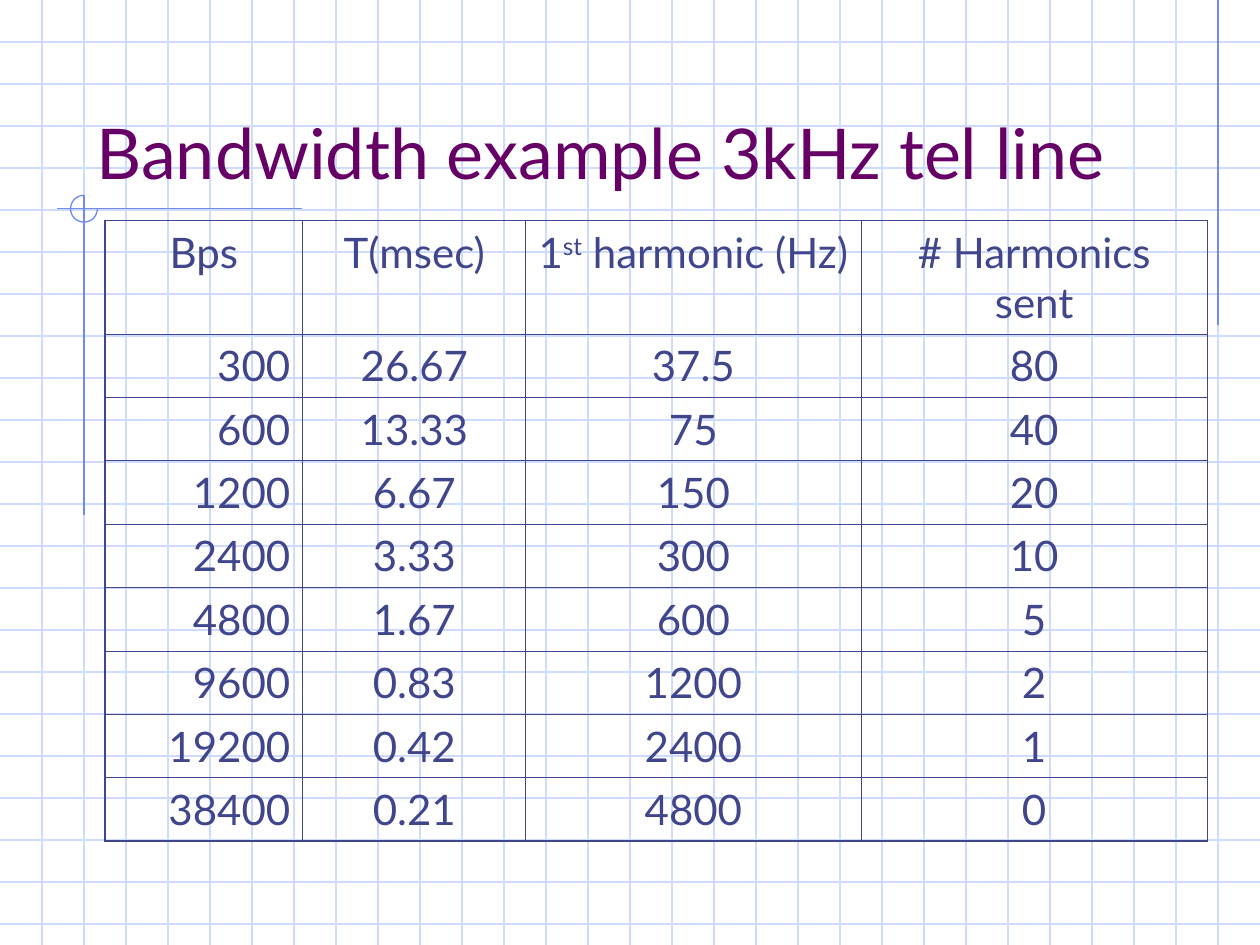
from pptx import Presentation
from pptx.dml.color import RGBColor
from pptx.enum.shapes import MSO_CONNECTOR, MSO_SHAPE
from pptx.enum.text import MSO_ANCHOR, PP_ALIGN
from pptx.oxml.ns import qn
from pptx.util import Inches, Pt
from lxml import etree

STRAIGHT = MSO_CONNECTOR.STRAIGHT
ARC = MSO_SHAPE.ARC
BOTTOM = MSO_ANCHOR.BOTTOM
LEFT, CENTER, RIGHT = PP_ALIGN.LEFT, PP_ALIGN.CENTER, PP_ALIGN.RIGHT

TITLE_ONLY = 5
COLUMNS, ROWS = 30, 22.5  # the squared paper has three squares to the inch

HEADER = [
    [("Bps", False)],
    [("T(msec)", False)],
    [("1", False), ("st", True), (" harmonic (Hz)", False)],
    [("# Harmonics sent", False)],
]
RATES = [
    ("300", "26.67", "37.5", "80"),
    ("600", "13.33", "75", "40"),
    ("1200", "6.67", "150", "20"),
    ("2400", "3.33", "300", "10"),
    ("4800", "1.67", "600", "5"),
    ("9600", "0.83", "1200", "2"),
    ("19200", "0.42", "2400", "1"),
    ("38400", "0.21", "4800", "0"),
]


def squares(count):
    """Length of a number of paper squares."""
    return Inches(count / 3)


def color(hex_string):
    return RGBColor.from_string(hex_string)


class PaperSlide:
    """Style and current slide; every length is counted in paper squares."""

    font = "Lato"
    paper, accent, title_ink, ink = "CFDBFD", "6F89F7", "660066", "40458C"
    line_width, inner_border, outer_border = 0.75, 0.45, 1.08

    def __init__(self, deck):
        self.page = deck.slides.add_slide(deck.slide_layouts[TITLE_ONLY])
        self.shapes = self.page.shapes

    def span(self, para, text, size, ink, raised=False):
        span = para.add_run()
        span.text = text
        span.font.name = self.font
        span.font.size = Pt(size)
        span.font.color.rgb = color(ink)
        if raised:
            span._r.get_or_add_rPr().set("baseline", "30000")

    def line(self, start, end, ink):
        line = self.shapes.add_connector(
            STRAIGHT, *(squares(value) for value in (*start, *end)))
        line.line.color.rgb = color(ink)
        line.line.width = Pt(self.line_width)
        etree.SubElement(line._element.spPr, qn("a:effectLst"))

    def squared_paper(self):
        for row in range(1, int(ROWS) + 1):
            self.line((0, row), (COLUMNS, row), self.paper)
        for column in range(1, COLUMNS):
            self.line((column, 0), (column, ROWS), self.paper)

    def three_quarter_ring(self, center_x, center_y, radius):
        ring = self.shapes.add_shape(
            ARC, squares(center_x - radius), squares(center_y - radius),
            squares(2 * radius), squares(2 * radius))
        ring.shadow.inherit = False
        ring.adjustments[0] = 0
        ring.adjustments[1] = 162  # 270 degrees, in units of 100000/60000
        ring.fill.background()
        ring.line.color.rgb = color(self.accent)
        ring.line.width = Pt(self.line_width)

    def title(self, text, left, top, width, height):
        box = self.shapes.title
        box.left, box.top = squares(left), squares(top)
        box.width, box.height = squares(width), squares(height)
        box._element.getparent().append(box._element)
        box.text_frame.vertical_anchor = BOTTOM
        box.text_frame.word_wrap = True
        para = box.text_frame.paragraphs[0]
        para.alignment = LEFT
        self.span(para, text, 40, self.title_ink)

    def border(self, cell, side, width):
        line = etree.SubElement(cell._tc.get_or_add_tcPr(), qn(f"a:ln{side}"),
                                w=str(Pt(width)))
        fill = etree.SubElement(line, qn("a:solidFill"))
        etree.SubElement(fill, qn("a:srgbClr"), val=self.ink)

    def cell(self, cell, spans, alignment, outer_sides):
        for side in "LRTB":
            self.border(cell, side, self.outer_border if side in outer_sides
                        else self.inner_border)
        cell.fill.background()
        para = cell.text_frame.paragraphs[0]
        para.alignment = alignment
        for text, raised in spans:
            self.span(para, text, 24, self.ink, raised)

    def table(self, rows, left, top, widths, heights):
        table = self.shapes.add_table(
            len(rows), len(widths), squares(left), squares(top),
            squares(sum(widths)), squares(sum(heights))).table
        table.first_row = table.horz_banding = False
        for column, width in zip(table.columns, widths):
            column.width = squares(width)
        for row, height in zip(table.rows, heights):
            row.height = squares(height)
        last_row, last_column = len(rows) - 1, len(widths) - 1
        for r, row in enumerate(rows):
            for c, spans in enumerate(row):
                edges = {"L": c == 0, "R": c == last_column,
                         "T": r == 0, "B": r == last_row}
                outer_sides = [side for side, outer in edges.items() if outer]
                alignment = RIGHT if c == 0 and r > 0 else CENTER
                self.cell(table.cell(r, c), spans, alignment, outer_sides)


def main():
    deck = Presentation()
    deck.slide_width, deck.slide_height = squares(COLUMNS), squares(ROWS)

    slide = PaperSlide(deck)
    slide.squared_paper()
    slide.line((29, 0), (29, 7.75), slide.accent)
    slide.line((7.2, 4.97), (1.36, 4.97), slide.accent)
    slide.line((2, 4.65), (2, 12.27), slide.accent)
    slide.three_quarter_ring(2, 4.97, 0.32)
    slide.title("Bandwidth example 3kHz tel line", 2, 1, 25.5, 3.75)

    body = [[[(text, False)] for text in rate] for rate in RATES]
    slide.table([HEADER] + body, 2.5, 5.25,
                widths=[4.71, 5.31, 7.98, 8.25],
                heights=[2.7] + [1.51] * len(body))
    deck.save("out.pptx")


if __name__ == "__main__":
    main()
